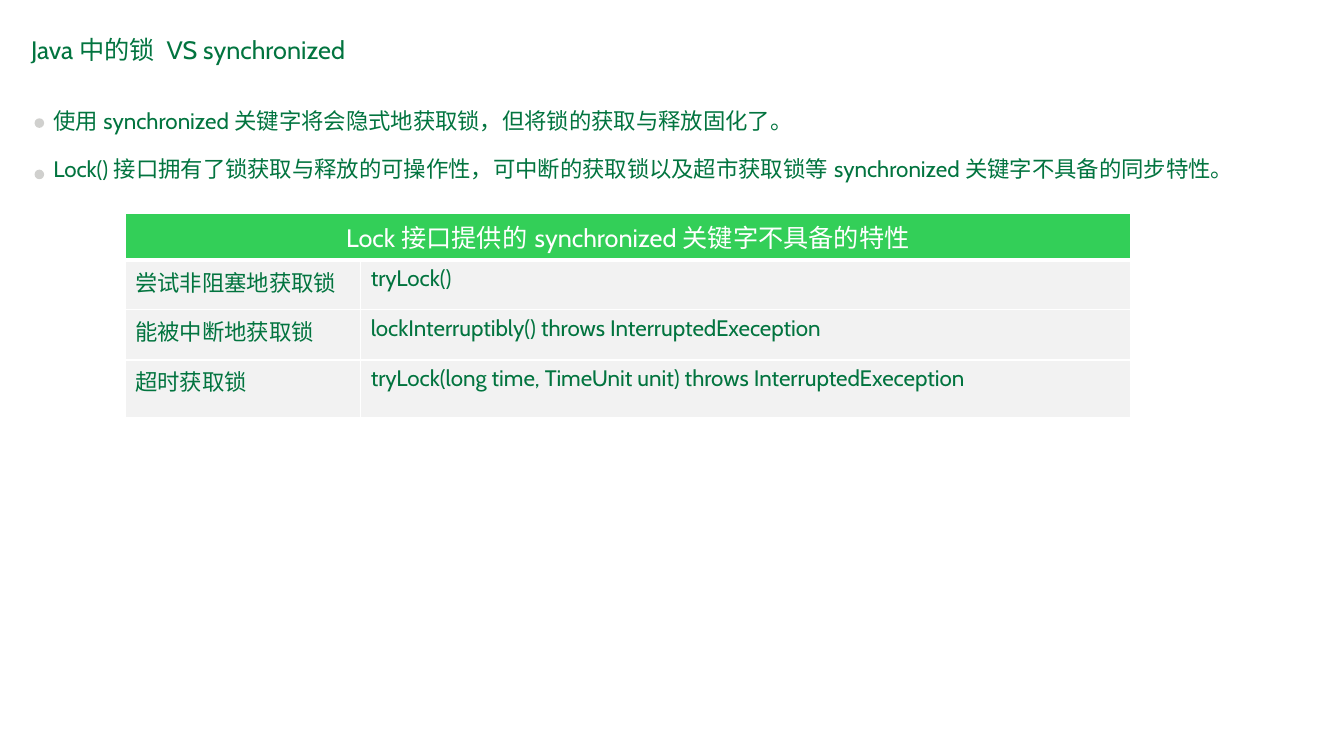
from dataclasses import dataclass

from pptx import Presentation
from pptx.dml.color import RGBColor
from pptx.enum.shapes import MSO_SHAPE as Shape
from pptx.enum.text import MSO_ANCHOR as Anchor, MSO_AUTO_SIZE as AutoSize, PP_ALIGN as Align
from pptx.oxml import parse_xml
from pptx.oxml.ns import nsdecls
from pptx.util import Pt


@dataclass(frozen=True)
class Theme:
    font: str = "Cabin"
    text: str = "02743F"
    header: str = "33CF58"
    cell: str = "F2F2F2"
    dot: str = "D0D0CE"
    white: str = "FFFFFF"
    heading_size: float = 18
    body_size: float = 16
    line_spacing: float = 0.9
    rule: float = 1
    header_rule: float = 3


def set_all(target, values):
    for name, value in values.items():
        setattr(target, name, value)


class SlideBuilder:
    def __init__(self, presentation, theme):
        self.theme = theme
        self.slide = presentation.slides.add_slide(presentation.slide_layouts[5])

    def add_text(self, paragraph, text, size, color, **layout):
        run = paragraph.add_run()
        run.text = text
        set_all(run.font, {"name": self.theme.font, "size": Pt(size), "bold": False})
        run.font.color.rgb = RGBColor.from_string(color)
        set_all(paragraph, {"alignment": Align.LEFT, **layout})

    def place(self, shape, box):
        set_all(shape, dict(zip(("left", "top", "width", "height"), map(Pt, box))))
        set_all(shape.text_frame, {"word_wrap": True, "auto_size": AutoSize.NONE,
                                   "vertical_anchor": Anchor.TOP})

    def title(self, text, box):
        shape = self.slide.shapes.title
        self.place(shape, box)
        self.add_text(shape.text_frame.paragraphs[0], text, self.theme.heading_size,
                      self.theme.text, line_spacing=self.theme.line_spacing)

    def body(self, lines, box, gap):
        shape = self.slide.shapes.add_textbox(*map(Pt, box))
        self.place(shape, box)
        frame = shape.text_frame
        for index, line in enumerate(lines):
            paragraph = frame.add_paragraph() if index else frame.paragraphs[0]
            self.add_text(paragraph, line, self.theme.body_size, self.theme.text,
                          line_spacing=self.theme.line_spacing,
                          space_before=Pt(gap if index else 0))

    def dot(self, left, top, size):
        shape = self.slide.shapes.add_shape(Shape.OVAL, *map(Pt, (left, top, size, size)))
        shape.shadow.inherit = False
        color = RGBColor.from_string(self.theme.dot)
        shape.fill.solid()
        shape.fill.fore_color.rgb = color
        shape.line.color.rgb = color
        shape.line.width = Pt(self.theme.rule)

    def cell(self, cell, fill, top_rule, bottom_rule):
        cell.fill.solid()
        cell.fill.fore_color.rgb = RGBColor.from_string(fill)
        rule = self.theme.rule
        properties = cell._tc.get_or_add_tcPr()
        # Borders come before the fill
        for index, (side, width) in enumerate(zip("LRTB", (rule, rule, top_rule, bottom_rule))):
            properties.insert(index, parse_xml(
                f'<a:ln{side} {nsdecls("a")} w="{Pt(width)}"><a:solidFill>'
                f'<a:srgbClr val="{self.theme.white}"/></a:solidFill></a:ln{side}>'))

    def table(self, heading, rows, left, top, widths, heights):
        theme = self.theme
        table = self.slide.shapes.add_table(
            len(heights), len(widths), Pt(left), Pt(top), Pt(sum(widths)), Pt(sum(heights))).table
        set_all(table, {"first_row": False, "horz_banding": False})
        for column, width in zip(table.columns, widths):
            column.width = Pt(width)
        for row, height in zip(table.rows, heights):
            row.height = Pt(height)

        # Fills and borders
        for row_index, row in enumerate(table.rows):
            for cell in row.cells:
                self.cell(cell, theme.cell if row_index else theme.header,
                          theme.header_rule if row_index == 1 else theme.rule,
                          theme.rule if row_index else theme.header_rule)

        # Merged heading, then the text rows
        table.cell(0, 0).merge(table.cell(0, len(widths) - 1))
        self.add_text(table.cell(0, 0).text_frame.paragraphs[0], heading,
                      theme.heading_size, theme.white, alignment=Align.CENTER)
        for row_index, row in enumerate(rows, 1):
            for column_index, text in enumerate(row):
                self.add_text(table.cell(row_index, column_index).text_frame.paragraphs[0],
                              text, theme.body_size, theme.text)


def main():
    presentation = Presentation()
    set_all(presentation, {"slide_width": Pt(960), "slide_height": Pt(540)})
    builder = SlideBuilder(presentation, Theme())

    # Title and key points
    builder.title("Java中的锁 VS synchronized", (15, 23, 330, 52))
    points = ("使用synchronized关键字将会隐式地获取锁，但将锁的获取与释放固化了。",
              "Lock()接口拥有了锁获取与释放的可操作性，可中断的获取锁以及超市获取锁等"
              "synchronized关键字不具备的同步特性。")
    builder.body(points, (31, 75, 898.5, 104.5), gap=17.5)
    for index in range(len(points)):
        builder.dot(25.2, 85 + 36.7 * index, 5.8)

    # Feature table
    features = (("尝试非阻塞地获取锁", "tryLock()"),
                ("能被中断地获取锁", "lockInterruptibly() throws InterruptedExeception"),
                ("超时获取锁", "tryLock(long time, TimeUnit unit) throws InterruptedExeception"))
    builder.table("Lock接口提供的synchronized关键字不具备的特性", features,
                  left=89.5, top=152.6, widths=(168.2, 549.8), heights=(30, 35.3, 36, 41))

    presentation.save("out.pptx")


if __name__ == "__main__":
    main()
